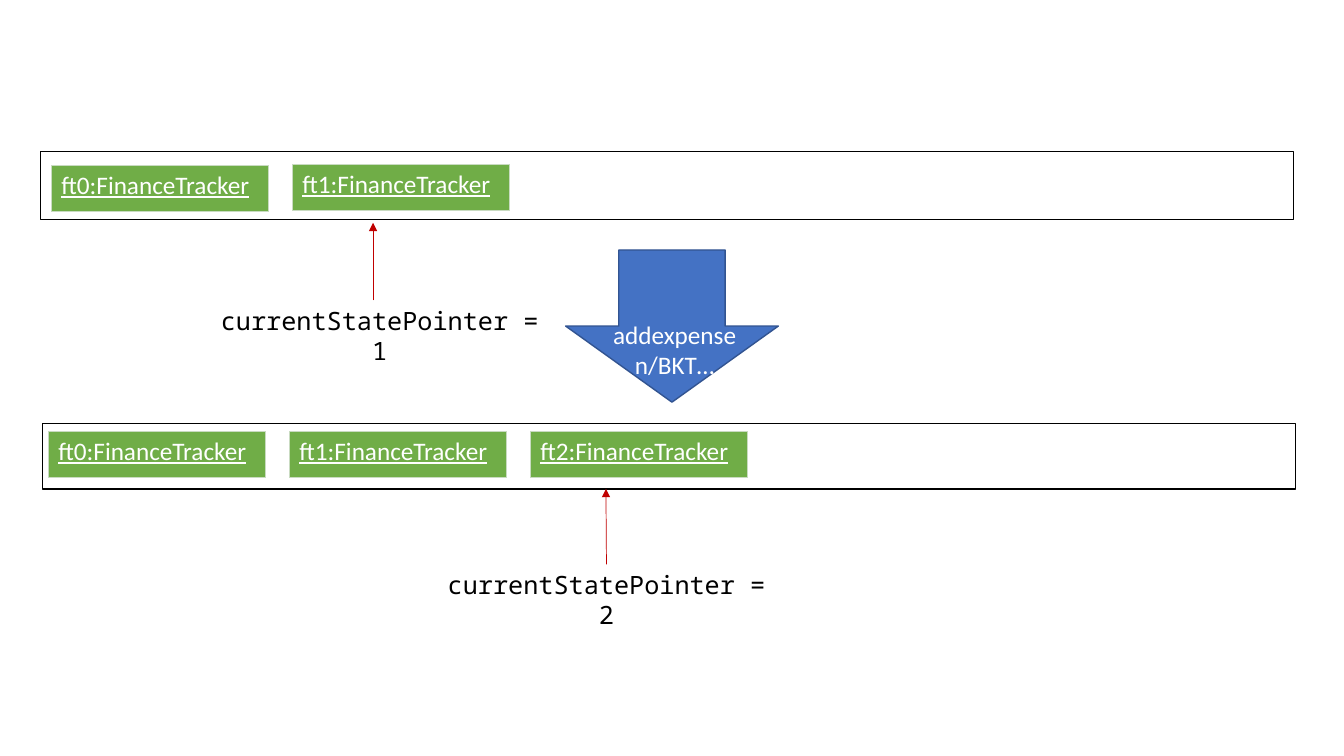
from lxml import etree
from pptx import Presentation
from pptx.dml.color import RGBColor
from pptx.enum.shapes import MSO_CONNECTOR as Connector, MSO_SHAPE as Shape
from pptx.enum.text import MSO_AUTO_SIZE as AutoSize, PP_ALIGN as Align
from pptx.oxml.ns import qn
from pptx.util import Inches, Pt

COLORS = {
    "arrow": "4472C4",
    "arrow_edge": "325491",
    "state": "70AD47",
    "state_edge": "C9DBC1",
    "pointer": "C00000",
    "black": "000000",
    "white": "FFFFFF",
}


def rgb(name):
    return RGBColor.from_string(COLORS[name])


class StateDiagram:
    """Holds the slide and the style shared by its elements."""

    body_font = "Calibri"
    code_font = "Noto Sans Mono"
    text_size = Pt(18)
    state_width, state_height, state_step = 2.15, 0.46, 2.39

    def __init__(self, slide):
        self.slide = slide

    def format_runs(self, text_frame, font_name, color, underline=None):
        for paragraph in text_frame.paragraphs:
            for run in paragraph.runs:
                run.font.name = font_name
                run.font.size = self.text_size
                run.font.color.rgb = rgb(color)
                run.font.underline = underline

    def shape(self, kind, left, top, width, height, edge, fill=None):
        shape = self.slide.shapes.add_shape(
            kind, Inches(left), Inches(top), Inches(width), Inches(height))
        shape.shadow.inherit = False
        if fill:
            shape.fill.solid()
            shape.fill.fore_color.rgb = rgb(fill)
        else:
            shape.fill.background()
        shape.line.color.rgb = rgb(edge)
        shape.line.width = Pt(1)
        return shape

    def label(self, text, left, top, width, height, font_name, color, wrap=True):
        box = self.slide.shapes.add_textbox(
            Inches(left), Inches(top), Inches(width), Inches(height))
        text_frame = box.text_frame
        text_frame.word_wrap = wrap
        text_frame.auto_size = AutoSize.SHAPE_TO_FIT_TEXT
        text_frame.text = text
        for paragraph in text_frame.paragraphs:
            paragraph.alignment = Align.CENTER
        self.format_runs(text_frame, font_name, color)
        return box

    def pointer_label(self, index, left, top):
        return self.label(f"currentStatePointer = {index}", left, top, 3.51, 0.4,
                          self.code_font, "black")

    def pointer(self, x, bottom, top):
        line = self.slide.shapes.add_connector(
            Connector.STRAIGHT, Inches(x), Inches(bottom), Inches(x), Inches(top))
        line.line.color.rgb = rgb("pointer")
        line.line.width = Pt(0.5)
        etree.SubElement(line.line._get_or_add_ln(), qn("a:tailEnd"), type="triangle")
        etree.SubElement(line._element.spPr, qn("a:effectLst"))
        return line

    def cell_border(self, cell):
        properties = cell._tc.get_or_add_tcPr()
        for position, side in enumerate(("a:lnL", "a:lnR", "a:lnT", "a:lnB")):
            edge = etree.Element(qn(side), w=str(Pt(0.5)))
            fill = etree.SubElement(edge, qn("a:solidFill"))
            etree.SubElement(fill, qn("a:srgbClr"), val=COLORS["state_edge"])
            properties.insert(position, edge)

    def state(self, index, first_left, top):
        """Add the one-cell table of a saved state at its place in the row."""
        left = first_left + index * self.state_step
        table = self.slide.shapes.add_table(
            1, 1, Inches(left), Inches(top),
            Inches(self.state_width), Inches(self.state_height)).table
        cell = table.cell(0, 0)
        cell.fill.solid()
        cell.fill.fore_color.rgb = rgb("state")
        self.cell_border(cell)
        cell.text_frame.text = f"ft{index}:FinanceTracker"
        self.format_runs(cell.text_frame, self.body_font, "white", underline=True)


def main():
    presentation = Presentation()
    presentation.slide_width = Inches(13.33)
    presentation.slide_height = Inches(7.5)
    slide = presentation.slides.add_slide(presentation.slide_layouts[6])
    diagram = StateDiagram(slide)

    diagram.shape(Shape.DOWN_ARROW, 5.61, 2.48, 2.11, 1.51, "arrow_edge", "arrow")
    diagram.pointer_label(1, 2.01, 2.98)
    diagram.shape(Shape.RECTANGLE, 0.4, 1.5, 12.43, 0.68, "black")
    after_label = diagram.pointer_label(2, 4.26, 5.6)
    diagram.shape(Shape.RECTANGLE, 0.42, 4.2, 12.43, 0.65, "black")

    diagram.pointer(3.7, 2.98, 2.21)
    diagram.pointer(6.01, 5.62, 4.85).begin_connect(after_label, 0)

    for first_left, tops in ((0.48, (4.28, 4.28, 4.28)), (0.51, (1.64, 1.63))):
        for index, top in enumerate(tops):
            diagram.state(index, first_left, top)

    diagram.label("addexpense \nn/BKT… ", 5.97, 3.12, 1.5, 1.01,
                  diagram.body_font, "white", wrap=False)
    presentation.save("out.pptx")


if __name__ == "__main__":
    main()
